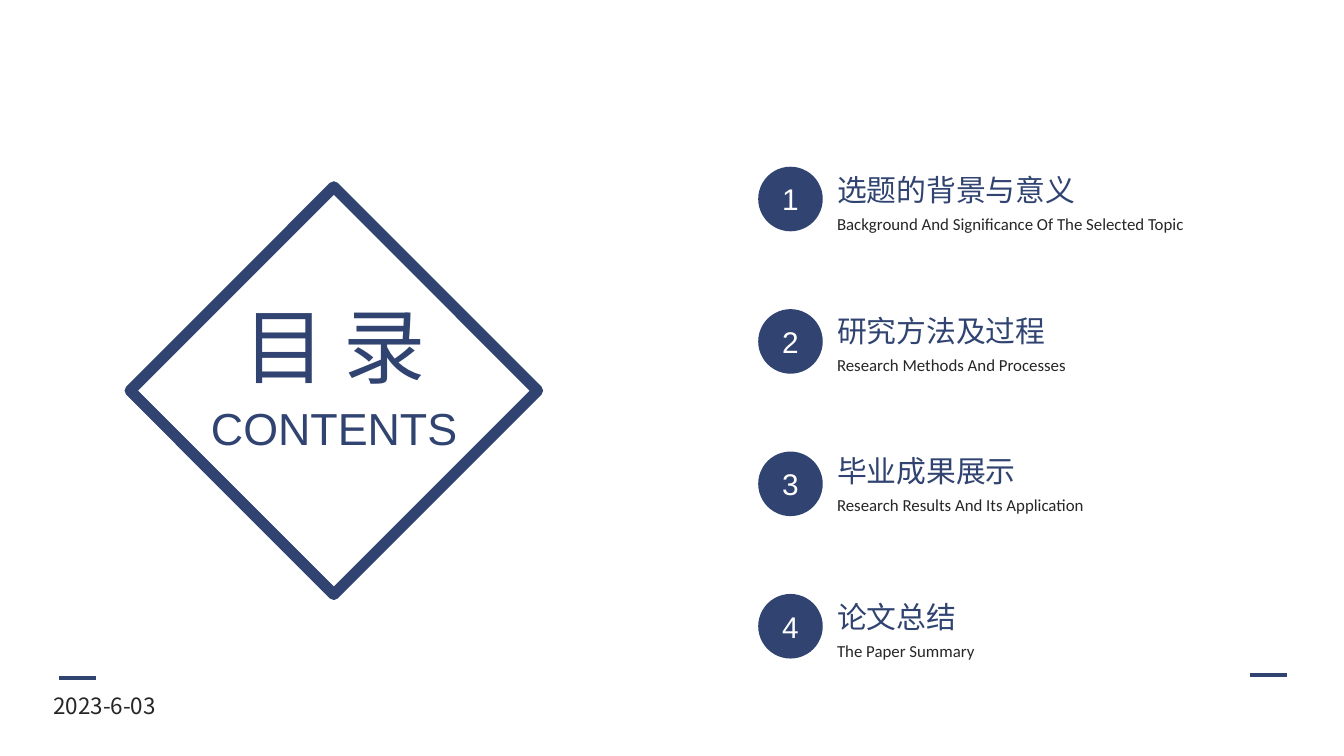
"""Build the contents slide of a thesis presentation."""
from lxml.etree import SubElement
from pptx import Presentation
from pptx.dml.color import RGBColor
from pptx.enum.shapes import MSO_CONNECTOR, MSO_SHAPE
from pptx.enum.text import MSO_ANCHOR, MSO_AUTO_SIZE, PP_ALIGN
from pptx.oxml.ns import qn
from pptx.util import Cm, Pt

COLORS = {"navy": "304371", "ink": "262626", "white": "FFFFFF"}
CJK, SANS, BODY = "Noto Sans CJK SC", "Arial", "Calibri"

HEADING = ("目 录", "CONTENTS")
DATE = "2023-6-03"
CHAPTERS = [
    ("选题的背景与意义", 5.08, "Background And Significance Of The Selected Topic", 7.11, 3.12),
    ("研究方法及过程", 4.5, "Research Methods And Processes", 4.85, 5.79),
    ("毕业成果展示", 4.09, "Research Results And Its Application", 5.18, 8.43),
    ("论文总结", 2.79, "The Paper Summary", 3.12, 11.18),
]
DASHES = [(23.62, 12.75), (1.12, 12.8)]
DASH_LENGTH = 0.7
BADGE_LEFT, BADGE_TOP, BADGE_SIZE, BADGE_PITCH = 14.33, 3.15, 1.22, 2.69
CHAPTER_LEFT, SUBTITLE_DROP = 15.57, 0.79


def color(name):
    return RGBColor.from_string(COLORS[name])


def write(frame, text, size=16, font=CJK, ink="navy", align=PP_ALIGN.LEFT):
    paragraph = frame.paragraphs[0]
    paragraph.alignment = align
    run = paragraph.add_run()
    run.text = text
    run.font.size = Pt(size)
    run.font.color.rgb = color(ink)
    run.font.name = font
    SubElement(run.font._element, qn("a:ea"), typeface=font)


def add_label(slide, text, left, top, width, height, **style):
    frame = slide.shapes.add_textbox(Cm(left), Cm(top), Cm(width), Cm(height)).text_frame
    frame.word_wrap = False
    frame.auto_size = MSO_AUTO_SIZE.SHAPE_TO_FIT_TEXT
    write(frame, text, **style)


def add_dash(slide, left, top):
    dash = slide.shapes.add_connector(
        MSO_CONNECTOR.STRAIGHT, Cm(left), Cm(top), Cm(left + DASH_LENGTH), Cm(top))
    dash.line.color.rgb = color("navy")
    dash.line.width = Pt(2.25)
    SubElement(dash._element.spPr, qn("a:effectLst"))


def add_badge(slide, number, top):
    badge = slide.shapes.add_shape(
        MSO_SHAPE.OVAL, Cm(BADGE_LEFT), Cm(top), Cm(BADGE_SIZE), Cm(BADGE_SIZE))
    badge.shadow.inherit = False
    badge.fill.solid()
    badge.fill.fore_color.rgb = color("navy")
    badge.line.fill.background()
    frame = badge.text_frame
    frame.margin_left = frame.margin_right = 0
    frame.vertical_anchor = MSO_ANCHOR.MIDDLE
    write(frame, str(number), font=SANS, ink="white", align=PP_ALIGN.CENTER)


def add_diamond(slide):
    diamond = slide.shapes.add_shape(MSO_SHAPE.DIAMOND, Cm(2.46), Cm(3.53), Cm(7.7), Cm(7.7))
    diamond.shadow.inherit = False
    diamond.fill.background()
    diamond.line.color.rgb = color("navy")
    diamond.line.width = Pt(6)


def main():
    deck = Presentation()
    deck.slide_width, deck.slide_height = Cm(25.4), Cm(14.28)
    slide = deck.slides.add_slide(deck.slide_layouts[6])

    for left, top in DASHES:
        add_dash(slide, left, top)

    add_diamond(slide)
    title, translation = HEADING
    add_label(slide, title, 4.27, 5.46, 4.11, 2.13, size=44, align=PP_ALIGN.CENTER)
    add_label(slide, translation, 3.71, 7.44, 5.21, 1.27,
              size=24, font=SANS, align=PP_ALIGN.CENTER)

    for index, (chapter, width, subtitle, subtitle_width, top) in enumerate(CHAPTERS):
        add_badge(slide, index + 1, BADGE_TOP + index * BADGE_PITCH)
        add_label(slide, chapter, CHAPTER_LEFT, top, width, 0.94)
        add_label(slide, subtitle, CHAPTER_LEFT, top + SUBTITLE_DROP, subtitle_width, 0.64,
                  size=9, font=BODY, ink="ink")

    add_label(slide, DATE, 0.76, 12.95, 2.64, 0.76, size=12, ink="ink")
    deck.save("out.pptx")


if __name__ == "__main__":
    main()
